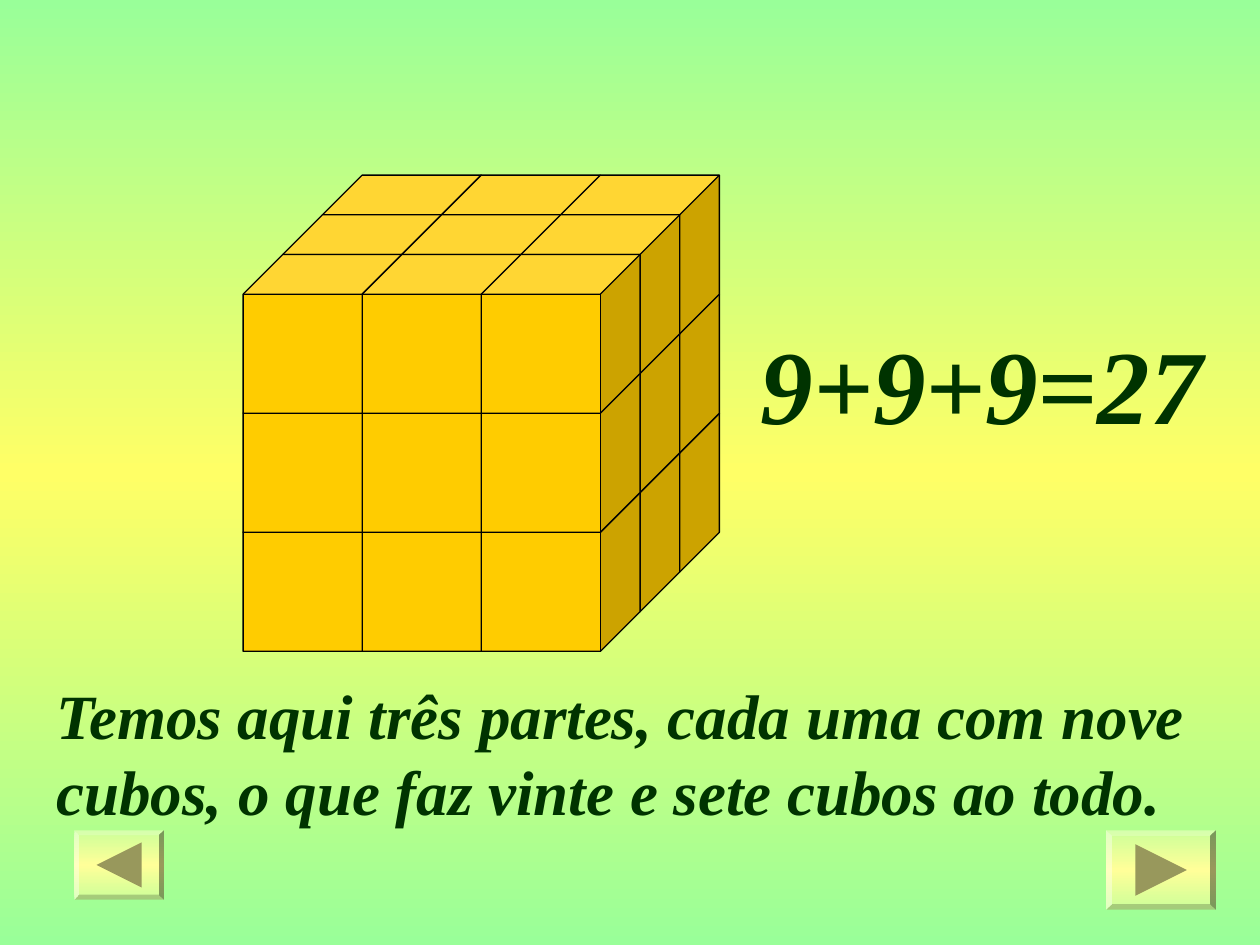
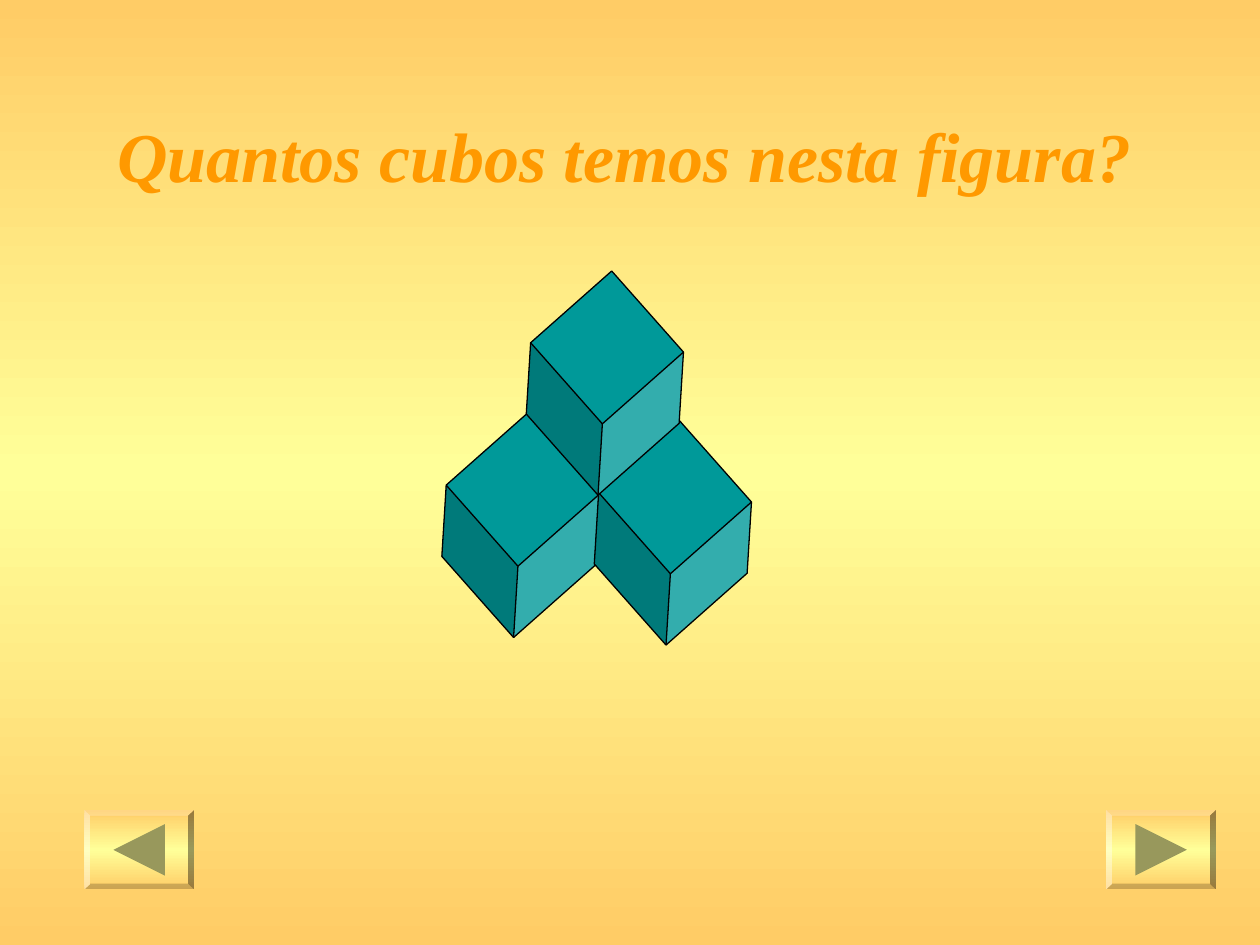
from copy import deepcopy

from pptx import Presentation
from pptx import util as u
from pptx.dml.color import RGBColor
from pptx.enum import shapes, text
from pptx.oxml.ns import qn

FONT = "Times New Roman"
BLACK = RGBColor(0x00, 0x00, 0x00)
DARK_GREEN = RGBColor(0x00, 0x33, 0x00)
ORANGE = RGBColor(0xFF, 0x99, 0x00)
GOLD = RGBColor(0xFF, 0xCC, 0x00)
TEAL = RGBColor(0x00, 0x99, 0x99)
OLIVE = RGBColor(0x98, 0x98, 0x5C)
MINT = RGBColor(0x99, 0xFF, 0x99)
LIME = RGBColor(0xCC, 0xFF, 0x99)
YELLOW = RGBColor(0xFF, 0xFF, 0x66)
PALE_YELLOW = RGBColor(0xFF, 0xFF, 0x99)
APRICOT = RGBColor(0xFF, 0xCC, 0x66)

CUBE_SIZE = 1.26
SHAPE = shapes.MSO_SHAPE


def shade(owner, fill, edge, middle):
    """Fill a page or shape with a vertical edge-middle-edge gradient."""
    fill.gradient()
    fill.gradient_angle = 90
    stops = owner.element.find(".//" + qn("a:gsLst"))
    stops.append(deepcopy(stops[-1]))
    for stop, position, color in zip(fill.gradient_stops, (0, 0.5, 1), (edge, middle, edge)):
        stop.position = position
        stop.color.rgb = color


def add_page(deck, layout_index, edge, middle):
    """Add a page with a gradient background."""
    page = deck.slides.add_slide(deck.slide_layouts[layout_index])
    shade(page, page.background.fill, edge, middle)
    return page


def place(box, left, top, width, height):
    """Give a box its position and size in inches."""
    box.left, box.top = u.Inches(left), u.Inches(top)
    box.width, box.height = u.Inches(width), u.Inches(height)


def write(box, words, size, color):
    """Write one bold italic paragraph at the top left of a box."""
    frame = box.text_frame
    frame.word_wrap = True
    frame.auto_size = text.MSO_AUTO_SIZE.NONE
    frame.vertical_anchor = text.MSO_ANCHOR.TOP
    para = frame.paragraphs[0]
    para.text = words
    para.alignment = text.PP_ALIGN.LEFT
    para.font.name = FONT
    para.font.size = u.Pt(size)
    para.font.bold = para.font.italic = True
    para.font.color.rgb = color


def add_text(page, left, top, width, height, words, size):
    """Add a dark green text box."""
    box = page.shapes.add_textbox(0, 0, 0, 0)
    place(box, left, top, width, height)
    write(box, words, size, DARK_GREEN)


def add_cube(group, left, top, color, depth, rotation=0):
    """Add one outlined cube to a group."""
    size = u.Inches(CUBE_SIZE)
    cube = group.shapes.add_shape(SHAPE.CUBE, u.Inches(left), u.Inches(top), size, size)
    cube.adjustments[0] = depth
    cube.rotation = rotation
    cube.shadow.inherit = False
    cube.fill.solid()
    cube.fill.fore_color.rgb = color
    cube.line.color.rgb = BLACK
    cube.line.width = u.Pt(0.75)


def add_big_cube(page, left, top, count=3, depth=0.25):
    """Stack layers of small cubes, from bottom to top and back to front."""
    offset = depth * CUBE_SIZE
    step = CUBE_SIZE - offset
    for level in reversed(range(count)):
        layer = page.shapes.add_group_shape()
        for row in range(count):
            for column in range(count):
                add_cube(layer, left + column * step + (count - 1 - row) * offset,
                         top + level * step + row * offset, GOLD, depth)


def add_tower(page, left, top):
    """Stack four tilted cubes, the hidden one first."""
    tower = page.shapes.add_group_shape()
    for across, down in ((0.65, 0.56), (0, 1.13), (1.21, 1.19), (0.67, 0)):
        add_cube(tower, left + across, top + down, TEAL, 0.318, 138.5)


def add_button(page, left, top, width, height, edge, turn):
    """Add a bevelled button with a triangle turned left or right."""
    button = page.shapes.add_shape(SHAPE.BEVEL, 0, 0, 0, 0)
    place(button, left, top, width, height)
    button.adjustments[0] = 0.07
    shade(button, button.fill, edge, PALE_YELLOW)
    side = 0.65 * height
    arrow = page.shapes.add_shape(SHAPE.ISOSCELES_TRIANGLE, 0, 0, 0, 0)
    place(arrow, left + (width - side) / 2, top + (height - side) / 2, side, side)
    arrow.rotation = turn
    arrow.fill.solid()
    arrow.fill.fore_color.rgb = OLIVE
    for part in (button, arrow):
        part.shadow.inherit = False
        part.line.fill.background()


def build_answer(deck):
    """Build the page that counts the twenty-seven cubes."""
    page = add_page(deck, 6, MINT, YELLOW)
    add_big_cube(page, 1.93, 2.02 - 2 * 0.25 * CUBE_SIZE)
    add_text(page, 0.35, 5.32, 9.37, 1.3,
             "Temos aqui três partes, cada uma com nove cubos, "
             "o que faz vinte e sete cubos ao todo.", 36)
    add_text(page, 5.94, 2.49, 3.78, 1.1, "9+9+9=27", 60)
    add_button(page, 8.78, 6.59, 0.87, 0.63, LIME, 90)
    add_button(page, 0.59, 6.59, 0.71, 0.55, LIME, 270)


def build_question(deck):
    """Build the page that asks how many cubes the figure has."""
    page = add_page(deck, 5, APRICOT, PALE_YELLOW)
    add_tower(page, 3.5, 2.41)
    title = page.shapes.title
    place(title, 0.83, 0.84, 8.43, 0.77)
    write(title, "Quantos cubos temos nesta figura?", 40, ORANGE)
    add_button(page, 8.78, 6.43, 0.87, 0.63, APRICOT, 90)
    add_button(page, 0.67, 6.43, 0.87, 0.63, APRICOT, 270)


def main():
    """Build and save the deck."""
    deck = Presentation()
    deck.slide_width, deck.slide_height = u.Inches(10), u.Inches(7.5)
    build_answer(deck)
    build_question(deck)
    deck.save("out.pptx")


if __name__ == "__main__":
    main()
